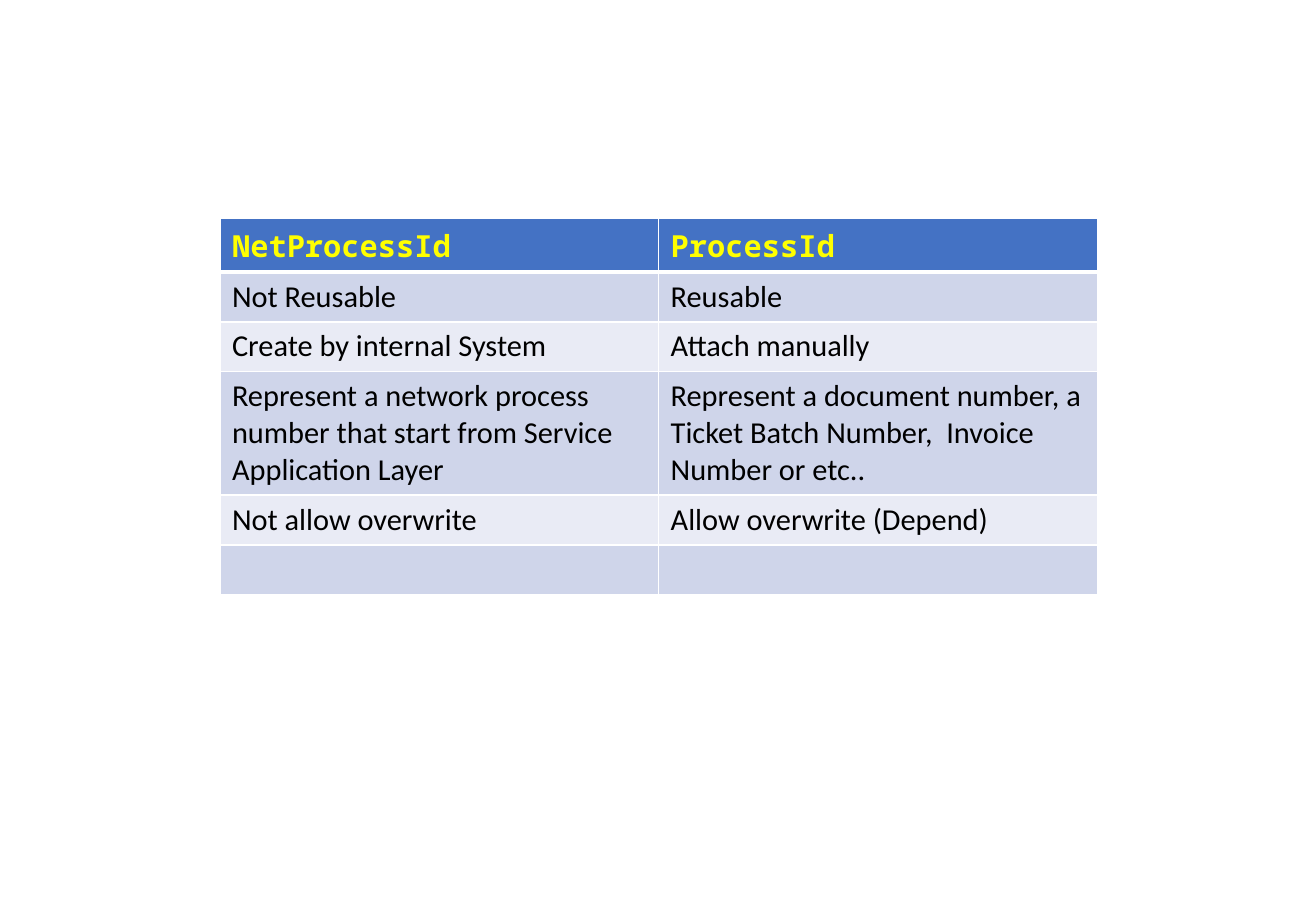
from lxml import etree
from pptx import Presentation
from pptx.dml.color import RGBColor
from pptx.enum.text import MSO_ANCHOR
from pptx.oxml.ns import qn
from pptx.util import Inches, Pt

TOP = MSO_ANCHOR.TOP

BLUE = RGBColor(0x44, 0x72, 0xC4)
BAND_DARK = RGBColor(0xCF, 0xD5, 0xEA)
BAND_LIGHT = RGBColor(0xE9, 0xEB, 0xF5)
WHITE = RGBColor(0xFF, 0xFF, 0xFF)
YELLOW = RGBColor(0xFF, 0xFF, 0x00)
BLACK = RGBColor(0x00, 0x00, 0x00)

BLANK_LAYOUT = 6
ROW_HEIGHT = 0.41
TALL_ROW_HEIGHT = 1.01

ROWS = [
    ("NetProcessId", "ProcessId"),
    ("Not Reusable", "Reusable"),
    ("Create by internal System", "Attach manually"),
    ("Represent a network process number that start from Service Application Layer",
     "Represent a document number, a Ticket Batch Number,  Invoice Number or etc.."),
    ("Not allow overwrite", "Allow overwrite (Depend)"),
    ("", ""),
]
ROW_HEIGHTS = [ROW_HEIGHT] * 3 + [TALL_ROW_HEIGHT] + [ROW_HEIGHT] * 2


def write_text(tf, text, font="Calibri", size=18, color=BLACK, bold=False):
    p = tf.paragraphs[0]
    p.font.size = Pt(size)
    if not text:
        return
    r = p.add_run()
    r.text = text
    r.font.name = font
    r.font.size = Pt(size)
    r.font.bold = bold
    r.font.color.rgb = color


class SlideBuilder:
    """Holds the table style and the current slide."""

    header = {"font": "Noto Sans Mono", "color": YELLOW, "bold": True}
    bands = (BAND_LIGHT, BAND_DARK)

    def __init__(self, slide):
        self.s = slide

    def border(self, cell, side, width):
        tcPr = cell._tc.get_or_add_tcPr()
        ln = etree.SubElement(tcPr, qn(f"a:ln{side}"), w=str(Pt(width)))
        fill = etree.SubElement(ln, qn("a:solidFill"))
        etree.SubElement(fill, qn("a:srgbClr"), val=str(WHITE))

    def cell(self, cell, text, row):
        is_header = row == 0
        widths = {"L": 1, "R": 1, "T": 3 if row == 1 else 1, "B": 3 if is_header else 1}
        for side, width in widths.items():
            self.border(cell, side, width)
        cell.fill.solid()
        cell.fill.fore_color.rgb = BLUE if is_header else self.bands[row % 2]
        cell.vertical_anchor = TOP
        write_text(cell.text_frame, text, **(self.header if is_header else {}))

    def table(self, rows, heights, left, top, width):
        table = self.s.shapes.add_table(
            len(rows), len(rows[0]), Inches(left), Inches(top),
            Inches(width), Inches(sum(heights))).table
        for i, (texts, height) in enumerate(zip(rows, heights)):
            table.rows[i].height = Inches(height)
            for j, text in enumerate(texts):
                self.cell(table.cell(i, j), text, i)


def main():
    prs = Presentation()
    prs.slide_width, prs.slide_height = Inches(10.83), Inches(7.5)
    s = prs.slides.add_slide(prs.slide_layouts[BLANK_LAYOUT])

    # Comparison table
    SlideBuilder(s).table(ROWS, ROW_HEIGHTS, left=1.81, top=1.8, width=7.22)

    prs.save("out.pptx")


if __name__ == "__main__":
    main()
